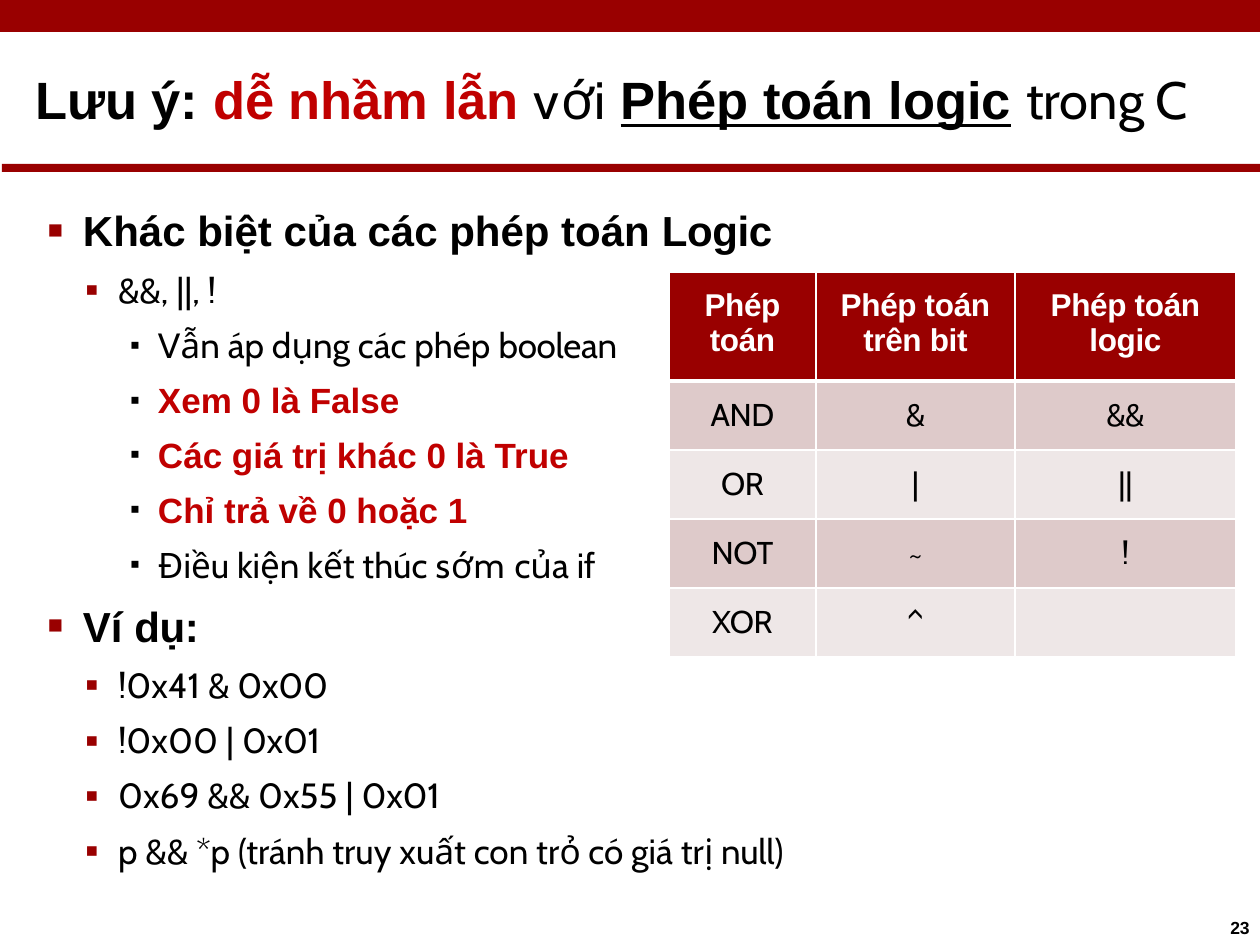
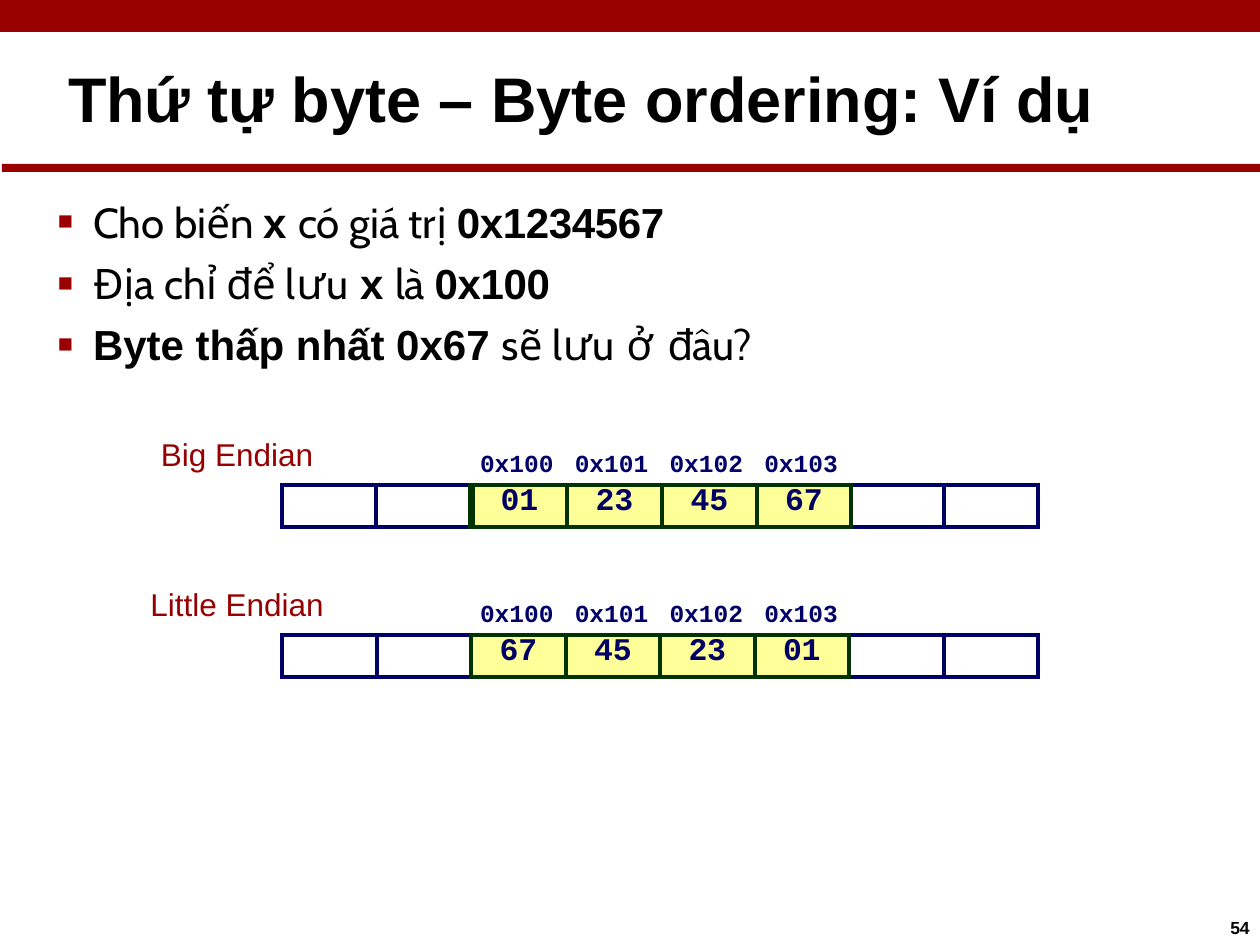
import pptx
import pptx.dml.color
import pptx.enum.shapes
import pptx.enum.text
import pptx.oxml
import pptx.oxml.ns
import pptx.util

RGBColor = pptx.dml.color.RGBColor
ALIGN = pptx.enum.text.PP_ALIGN

EMU_PER_PX = 914400 / 126

DARK_RED = RGBColor(0x99, 0x00, 0x00)
LABEL_RED = RGBColor(0x97, 0x00, 0x01)
ALERT_RED = RGBColor(0xC0, 0x00, 0x00)
BLACK = RGBColor(0x00, 0x00, 0x00)
WHITE = RGBColor(0xFF, 0xFF, 0xFF)
ROW_ROSE = RGBColor(0xDE, 0xCA, 0xCA)
ROW_PALE = RGBColor(0xEE, 0xE7, 0xE7)
NAVY = RGBColor(0x00, 0x00, 0x66)
GREEN = RGBColor(0x00, 0x33, 0x00)
YELLOW = RGBColor(0xFF, 0xFF, 0x99)

HEAVY = {"font": "Arial", "bold": True}
LIGHT = {"font": "Cabin", "bold": False}
ALERT = {**HEAVY, "color": ALERT_RED}
TIGHT_HEAVY = {**HEAVY, "spacing": -0.2}
TIGHT_LIGHT = {**LIGHT, "spacing": -0.2}

# Per list level: text size, left margin px, hanging px, space before, bullet, its size and colour
LEVELS = [
    (24, 38, 35, 8.4, "■", 60, DARK_RED),
    (20, 73, 33, 7.5, "▪", 110, DARK_RED),
    (20, 113, 28, 7.4, "▪", 80, BLACK),
]


def px(length):
    return round(length * EMU_PER_PX)


def box(left, top, width, height):
    return px(left), px(top), px(width), px(height)


def write(paragraph, text, size=18, font="Arial", bold=False, color=BLACK,
          underline=False, spacing=0):
    run = paragraph.add_run()
    run.text = text
    run.font.size = pptx.util.Pt(size)
    run.font.name = font
    run.font.bold = bold
    run.font.underline = underline
    run.font.color.rgb = color
    if spacing:
        run._r.get_or_add_rPr().set("spc", str(round(spacing * 100)))


def prepare_frame(text_frame, left=0, top=0):
    text_frame.word_wrap = True
    text_frame.auto_size = pptx.enum.text.MSO_AUTO_SIZE.NONE
    text_frame.vertical_anchor = pptx.enum.text.MSO_ANCHOR.TOP
    text_frame.margin_left, text_frame.margin_top = px(left), px(top)
    text_frame.margin_right = text_frame.margin_bottom = 0


def move(shape, left, top, width, height):
    shape.left, shape.top, shape.width, shape.height = box(left, top, width, height)


def add_label(slide, left, top, width, height, runs, **style):
    shape = slide.shapes.add_textbox(*box(left, top, width, height))
    prepare_frame(shape.text_frame, top=1)
    paragraph = shape.text_frame.paragraphs[0]
    paragraph.alignment = ALIGN.CENTER
    for text, extra in runs:
        write(paragraph, text, **{**style, **extra})


def add_band(slide, left, top, width, height, color=DARK_RED):
    band = slide.shapes.add_shape(
        pptx.enum.shapes.MSO_SHAPE.RECTANGLE, *box(left, top, width, height))
    band.shadow.inherit = False
    band.fill.solid()
    band.fill.fore_color.rgb = color
    band.line.fill.background()


def add_frame_slide(presentation, title_runs, title_size, title_left, title_top, number):
    """Slide with the bands, title and page number that all slides share."""
    slide = presentation.slides.add_slide(presentation.slide_layouts[1])
    add_band(slide, 0, 0, 1260, 32)
    add_band(slide, 2, 164, 1258, 8)

    title = slide.shapes.title
    move(title, 24, 58, 1227, 82)
    prepare_frame(title.text_frame, left=title_left, top=title_top)
    paragraph = title.text_frame.paragraphs[0]
    paragraph.alignment = ALIGN.LEFT
    for text, style in title_runs:
        write(paragraph, text, size=title_size, **style)

    add_label(slide, 1226, 916, 28, 24, [(number, TIGHT_HEAVY)], size=10)
    return slide


def set_bullet(paragraph, character, percent, color):
    namespace = pptx.oxml.ns.nsdecls("a")
    properties = paragraph._p.get_or_add_pPr()
    for markup in (
        f'<a:buClr {namespace}><a:srgbClr val="{color}"/></a:buClr>',
        f'<a:buSzPct {namespace} val="{percent * 1000}"/>',
        f'<a:buFont {namespace} typeface="Arial"/>',
        f'<a:buChar {namespace} char="{character}"/>',
    ):
        properties.append(pptx.oxml.parse_xml(markup))


def fill_list(slide, left, top, width, height, items, margin_top, space_before=None):
    """Body list; each item is a level and its runs."""
    body = slide.placeholders[1]
    move(body, left, top, width, height)
    text_frame = body.text_frame
    prepare_frame(text_frame, top=margin_top)
    for index, (level, runs) in enumerate(items):
        paragraph = text_frame.add_paragraph() if index else text_frame.paragraphs[0]
        size, margin, hanging, gap, character, percent, color = LEVELS[level]
        paragraph.level = level
        paragraph.space_before = pptx.util.Pt(space_before or gap)
        properties = paragraph._p.get_or_add_pPr()
        properties.set("marL", str(px(margin)))
        properties.set("indent", str(-px(hanging)))
        set_bullet(paragraph, character, percent, color)
        for text, style in runs:
            write(paragraph, text, size=size, **style)


def set_borders(cell, **sides):
    """Borders as L, R, T, B = (colour, width in points)."""
    properties = cell._tc.get_or_add_tcPr()
    namespace = pptx.oxml.ns.nsdecls("a")
    for side in "LRTB":
        color, width = sides[side]
        properties.append(pptx.oxml.parse_xml(
            f'<a:ln{side} {namespace} w="{pptx.util.Pt(width)}"><a:solidFill>'
            f'<a:srgbClr val="{color}"/></a:solidFill></a:ln{side}>'))


def style_cell(cell, fill, margin_top=0, **borders):
    cell.margin_left = cell.margin_right = cell.margin_bottom = 0
    cell.margin_top = px(margin_top)
    set_borders(cell, **borders)
    if fill is None:
        cell.fill.background()
    else:
        cell.fill.solid()
        cell.fill.fore_color.rgb = fill


def add_plain_table(slide, left, top, widths, heights):
    shape = slide.shapes.add_table(
        len(heights), len(widths), *box(left, top, sum(widths), sum(heights)))
    table = shape.table
    table.first_row = table.horz_banding = False
    for column, width in zip(table.columns, widths):
        column.width = px(width)
    for row, height in zip(table.rows, heights):
        row.height = px(height)
    return table


def add_operator_table(slide, left, top):
    rows = [
        ["Phép\ntoán", "Phép toán\ntrên bit", "Phép toán\nlogic"],
        ["AND", "&", "&&"],
        ["OR", "|", "||"],
        ["NOT", "~", "!"],
        ["XOR", "^", ""],
    ]
    table = add_plain_table(slide, left, top, [147, 199, 221], [109] + [69] * 4)
    thin, thick = (WHITE, 1), (WHITE, 3)
    for row_index, row in enumerate(rows):
        header = row_index == 0
        fill = DARK_RED if header else (ROW_PALE, ROW_ROSE)[row_index % 2]
        style = {**TIGHT_HEAVY, "color": WHITE} if header else TIGHT_LIGHT
        for column_index, text in enumerate(row):
            cell = table.cell(row_index, column_index)
            style_cell(cell, fill, margin_top=16 if header else 15, L=thin, R=thin,
                       T=thick if row_index == 1 else thin, B=thick if header else thin)
            text_frame = cell.text_frame
            for line_index, line in enumerate(text.split("\n") if text else []):
                paragraph = text_frame.add_paragraph() if line_index else text_frame.paragraphs[0]
                paragraph.alignment = ALIGN.CENTER
                write(paragraph, line, **style)


def add_byte_row(slide, left, top, name, values, widths, first_edge=2.25):
    """Memory row: its name, the addresses and eight cells."""
    add_label(slide, left, top, 176, 42, [(name, {})], color=LABEL_RED)

    address_runs = [("0x100", {})]
    for address in ("0x101", "0x102", "0x103"):
        address_runs += [(" ", {"spacing": 3.6}), (address, {})]
    add_label(slide, left + 330, top + 13, 360, 33, address_runs, size=14,
              font="Courier New", bold=True, color=NAVY)

    # White backing of the blank cells on both sides
    add_band(slide, left + 229, top + 53, 94, 42, WHITE)
    add_band(slide, left + 702, top + 53, 188, 42, WHITE)

    table = add_plain_table(slide, left + 133, top + 51, widths, [42])
    outer, inner = (NAVY, 2.25), (GREEN, 2.25)
    for index, text in enumerate(["", "", *values, "", ""]):
        cell = table.cell(0, index)
        edge = inner if text else outer
        left_edge = right_edge = edge
        if index == 1:
            right_edge = (GREEN, first_edge)
        elif index == 2:
            left_edge = (GREEN, first_edge)
        elif index == 6:
            left_edge = inner
        style_cell(cell, YELLOW if text else None, L=left_edge, R=right_edge, T=edge, B=edge)
        if text:
            paragraph = cell.text_frame.paragraphs[0]
            paragraph.alignment = ALIGN.CENTER
            paragraph.line_spacing = pptx.util.Pt(19.9)
            write(paragraph, text, font="Courier New", bold=True, color=NAVY, spacing=-0.2)


def build_logic_slide(presentation):
    title = [
        ("Lưu ý: ", HEAVY),
        ("dễ nhầm lẫn ", ALERT),
        ("với ", {**LIGHT, "spacing": 0.8}),
        ("Phép toán logic", {**HEAVY, "underline": True}),
        (" ", HEAVY),
        ("trong C", LIGHT),
    ]
    slide = add_frame_slide(presentation, title, 30, 11, 9, "23")
    items = [
        (0, [("Khác biệt của các phép toán ", HEAVY), ("Logic", TIGHT_HEAVY)]),
        (1, [("&&, ||, !", LIGHT)]),
        (2, [("Vẫn áp dụng các phép ", LIGHT), ("boolean", TIGHT_LIGHT)]),
        (2, [("Xem 0 là False", ALERT)]),
        (2, [("Các giá trị khác 0 là True", ALERT)]),
        (2, [("Chỉ trả về 0 hoặc 1", ALERT)]),
        (2, [("Điều kiện kết thúc ", LIGHT), ("sớm ", {**LIGHT, "spacing": 0.6}),
             ("của ", LIGHT), ("if", TIGHT_LIGHT)]),
        (0, [("Ví ", HEAVY), ("dụ:", TIGHT_HEAVY)]),
        (1, [("!0x41 & ", LIGHT), ("0x00", TIGHT_LIGHT)]),
        (1, [("!0x00 | ", LIGHT), ("0x01", TIGHT_LIGHT)]),
        (1, [("0x69 && 0x55 | ", LIGHT), ("0x01", TIGHT_LIGHT)]),
        (1, [("p && *p (tránh truy xuất con trỏ có giá trị ", LIGHT), ("null)", TIGHT_LIGHT)]),
    ]
    fill_list(slide, 45, 192, 771, 683, items, margin_top=13)
    add_operator_table(slide, 669, 272)


def build_byte_order_slide(presentation):
    title = [("Thứ tự byte – Byte ordering: Ví ", HEAVY), ("dụ", TIGHT_HEAVY)]
    slide = add_frame_slide(presentation, title, 36, 44, 2, "54")
    stored = ("lưu ", {**LIGHT, "spacing": 0.7})
    items = [
        (0, [("Cho biến ", LIGHT), ("x ", HEAVY), ("có giá trị ", LIGHT),
             ("0x1234567", TIGHT_HEAVY)]),
        (0, [("Địa chỉ để ", LIGHT), stored, ("x ", HEAVY), ("là ", LIGHT),
             ("0x100", TIGHT_HEAVY)]),
        (0, [("Byte thấp nhất 0x67 ", HEAVY), ("sẽ ", LIGHT), stored,
             ("ở ", {**LIGHT, "spacing": 1.6}), ("đâu?", TIGHT_LIGHT)]),
    ]
    fill_list(slide, 55, 184, 708, 187, items, margin_top=12, space_before=6.2)
    values = ["01", "23", "45", "67"]
    add_byte_row(slide, 149, 434, "Big Endian", values,
                 [94, 96, 95, 95, 95, 94, 93, 94], first_edge=4.5)
    add_byte_row(slide, 149, 584, "Little Endian", values[::-1], [95, 94] * 4)


def main():
    presentation = pptx.Presentation()
    presentation.slide_width, presentation.slide_height = px(1260), px(945)
    build_logic_slide(presentation)
    build_byte_order_slide(presentation)
    presentation.save("out.pptx")


if __name__ == "__main__":
    main()
